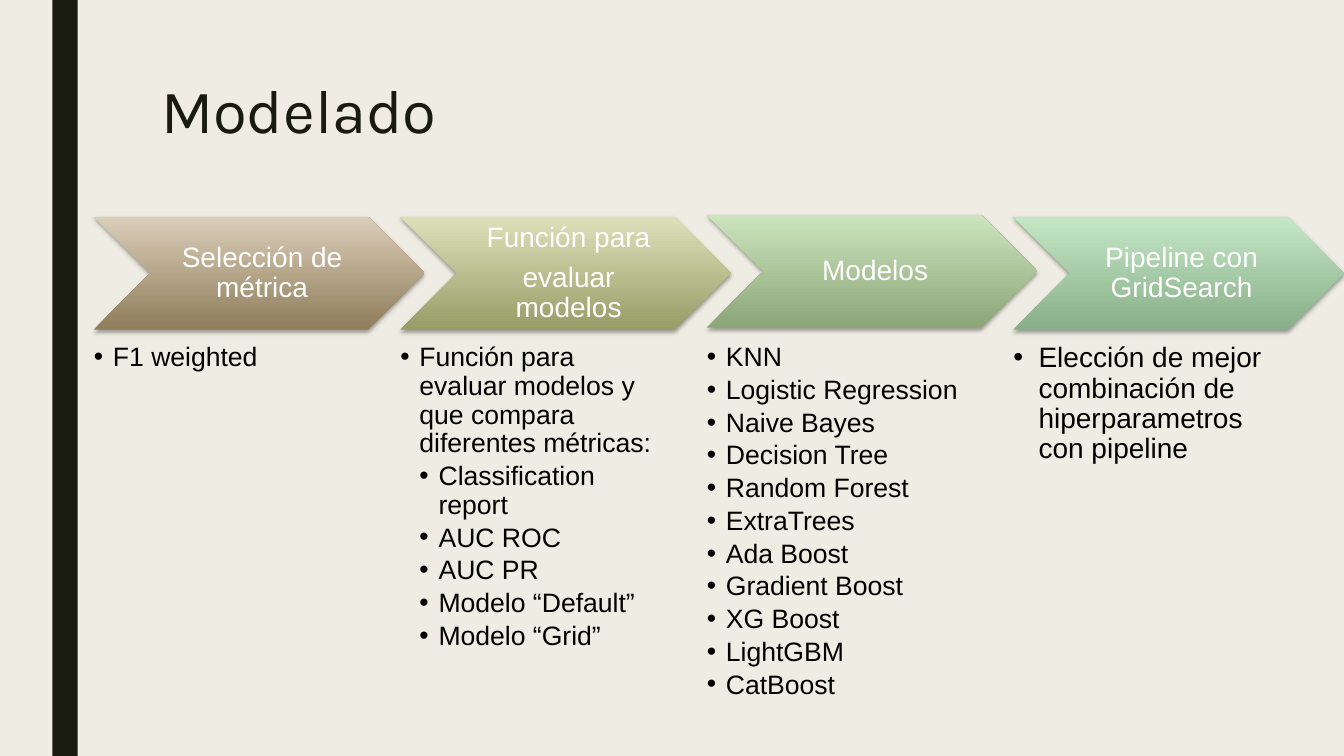
from lxml.etree import SubElement
from pptx import Presentation
from pptx.dml.color import RGBColor
from pptx.enum.shapes import MSO_SHAPE as Shape
from pptx.enum.text import MSO_ANCHOR as Anchor, PP_ALIGN as Align
from pptx.oxml.ns import qn
from pptx.util import Inches, Pt

INK = "191B0E"
COLUMN_LEFT = 0.93
COLUMN_STEP = 3.04
CHEVRON_TOP = 2.15
STAGES = [
    {"title": ["Selección de métrica"], "colors": ("8F7D5B", "DBCEB9"),
     "bullets": [(0, "F1 weighted")]},
    {"title": ["Función para", "evaluar modelos"], "colors": ("979D67", "DCE1BA"),
     "bullets": [
         (0, "Función para evaluar modelos y que compara diferentes métricas:"),
         (1, "Classification report"), (1, "AUC ROC"), (1, "AUC PR"),
         (1, "Modelo “Default”"), (1, "Modelo “Grid”")]},
    {"title": ["Modelos"], "colors": ("8CA678", "CDE4BE"), "top": 2.13,
     "bullets": [(0, name) for name in (
         "KNN", "Logistic Regression", "Naive Bayes", "Decision Tree",
         "Random Forest", "ExtraTrees", "Ada Boost", "Gradient Boost",
         "XG Boost", "LightGBM", "CatBoost")]},
    {"title": ["Pipeline con GridSearch"], "colors": ("89AF8A", "C4E7C5"),
     "size": 20, "indent": 0.25,
     "bullets": [(0, "Elección de mejor combinación de hiperparametros con pipeline")]},
]


def rgb(color):
    return RGBColor.from_string(color)


def apply_format(target, values):
    for name, value in values.items():
        setattr(target, name, value)


def add_shape(slide, kind, left, top, width, height):
    shape = slide.shapes.add_shape(
        kind, Inches(left), Inches(top), Inches(width), Inches(height))
    shape.shadow.inherit = False
    shape.line.fill.background()
    return shape


def add_sidebar(slide):
    shape = add_shape(slide, Shape.RECTANGLE, 0.52, 0, 0.25, 7.5)
    shape.fill.solid()
    shape.fill.fore_color.rgb = rgb(INK)


def add_shadow(shape):
    effects = shape._element.spPr.find(qn("a:effectLst"))
    shadow = SubElement(effects, qn("a:outerShdw"), blurRad=str(Pt(3.1)),
                        dist=str(Pt(1.8)), dir="5400000", rotWithShape="0")
    color = SubElement(shadow, qn("a:srgbClr"), val="000000")
    SubElement(color, qn("a:alpha"), val="35000")


def add_chevron(slide, left, top, colors):
    shape = add_shape(slide, Shape.CHEVRON, left, top, 3.28, 1.12)
    shape.fill.gradient()
    shape.fill.gradient_angle = 90
    for stop, position, color in zip(shape.fill.gradient_stops, (0, 1), colors):
        stop.position = position
        stop.color.rgb = rgb(color)
    add_shadow(shape)


def add_text_box(slide, left, top, width, height, margins, anchor=Anchor.TOP):
    box = slide.shapes.add_textbox(
        Inches(left), Inches(top), Inches(width), Inches(height))
    frame = box.text_frame
    sides = ("margin_left", "margin_top", "margin_right", "margin_bottom")
    apply_format(frame, dict(zip(sides, map(Inches, margins))))
    apply_format(frame, {"word_wrap": True, "vertical_anchor": anchor})
    return frame


def add_paragraph(frame, index, text, font, layout):
    paragraph = frame.add_paragraph() if index else frame.paragraphs[0]
    run = paragraph.add_run()
    run.text = text
    apply_format(paragraph, layout)
    apply_format(run.font, {"name": font["name"], "size": Pt(font["size"])})
    run.font.color.rgb = rgb(font["color"])
    return paragraph


def set_bullet(paragraph, indent):
    properties = paragraph._p.get_or_add_pPr()
    properties.set("marL", str(Inches(indent * (paragraph.level + 1))))
    properties.set("indent", str(Inches(-indent)))
    color = SubElement(properties, qn("a:buClr"))
    SubElement(color, qn("a:srgbClr"), val="000000")
    SubElement(properties, qn("a:buFont"), typeface="Arial")
    SubElement(properties, qn("a:buChar"), char="•")


def add_title(slide, text):
    frame = add_text_box(slide, 1.5, 0.75, 10.5, 1.62, (0.1, 0.05, 0.1, 0.05))
    font = {"name": "Karla", "size": 44, "color": INK}
    add_paragraph(frame, 0, text, font, {"line_spacing": 0.89})


def add_stage_title(slide, left, top, lines):
    frame = add_text_box(slide, left + 0.56, top, 2.16, 1.12,
                         (0.09, 0.03, 0.03, 0.03), Anchor.MIDDLE)
    font = {"name": "Arial", "size": 20, "color": "FFFFFF"}
    layout = {"alignment": Align.CENTER, "line_spacing": 0.9, "space_after": Pt(7)}
    for index, line in enumerate(lines):
        add_paragraph(frame, index, line, font, layout)


def add_bullets(slide, left, bullets, size, indent):
    frame = add_text_box(slide, left, 3.41, 2.62, 3.46, (0, 0, 0, 0))
    font = {"name": "Arial", "size": size, "color": "000000"}
    for index, (level, text) in enumerate(bullets):
        layout = {"level": level, "line_spacing": 0.9, "space_after": Pt(size * 0.15)}
        set_bullet(add_paragraph(frame, index, text, font, layout), indent)


def add_stage(slide, index, stage):
    left = COLUMN_LEFT + index * COLUMN_STEP
    top = stage.get("top", CHEVRON_TOP)
    add_chevron(slide, left, top, stage["colors"])
    add_stage_title(slide, left, top, stage["title"])
    add_bullets(slide, left, stage["bullets"],
                stage.get("size", 19), stage.get("indent", 0.19))


def main():
    presentation = Presentation()
    apply_format(presentation, {"slide_width": Inches(13.33),
                                "slide_height": Inches(7.5)})
    slide = presentation.slides.add_slide(presentation.slide_layouts[6])
    slide.background.fill.solid()
    slide.background.fill.fore_color.rgb = rgb("EFEDE3")
    add_sidebar(slide)
    add_title(slide, "Modelado")
    for index, stage in enumerate(STAGES):
        add_stage(slide, index, stage)
    presentation.save("out.pptx")


if __name__ == "__main__":
    main()
